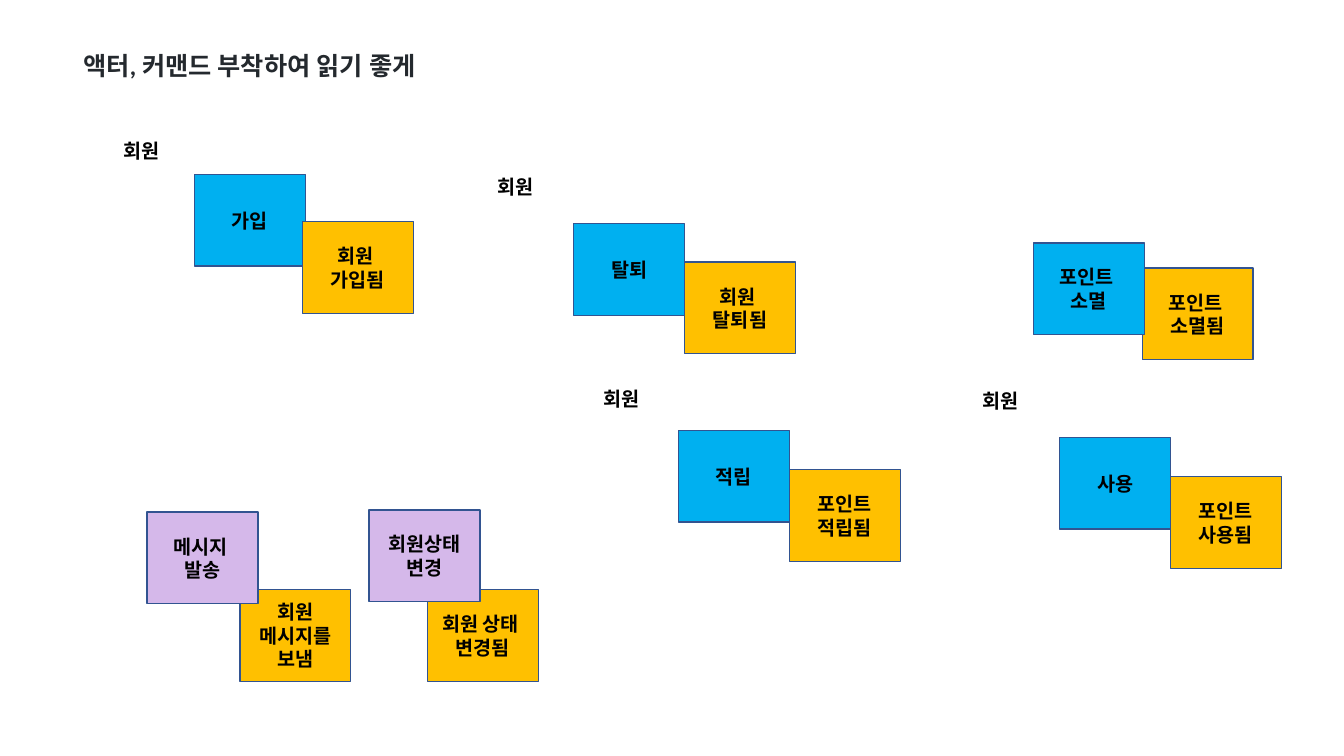
from pptx import Presentation
from pptx.dml.color import RGBColor
from pptx.enum.shapes import MSO_SHAPE as SHAPE
from pptx.enum.text import MSO_ANCHOR as ANCHOR, PP_ALIGN as ALIGN
from pptx.oxml.ns import qn
from pptx.util import Inches, Pt

INK = RGBColor(0x24, 0x29, 0x2E)
BLACK = RGBColor(0, 0, 0)
EDGE = RGBColor(0x32, 0x54, 0x91)
COMMAND = RGBColor(0x00, 0xB0, 0xF0)
EVENT = RGBColor(0xFF, 0xC0, 0x00)
POLICY = RGBColor(0xD5, 0xB8, 0xEA)
TITLE_FONT, BODY_FONT = "Lato", "Noto Sans CJK KR"
NOTE_W, NOTE_H = 1.1, 0.91


def write(tf, text, size=14, font=BODY_FONT, color=BLACK, align=ALIGN.CENTER):
    """Fill a text frame, one paragraph per line of text."""
    tf.word_wrap = True
    tf.vertical_anchor = ANCHOR.MIDDLE
    for i, line in enumerate(text.split("\n")):
        p = tf.paragraphs[0] if i == 0 else tf.add_paragraph()
        p.alignment = align
        r = p.add_run()
        r.text = line
        r.font.size, r.font.name, r.font.bold = Pt(size), font, True
        r.font.color.rgb = color
        ea = r.font._element.makeelement(qn("a:ea"), {"typeface": font})
        r.font._element.find(qn("a:latin")).addnext(ea)


class Board:
    """Event-storming board on one slide."""

    def __init__(self, prs):
        self.s = prs.slides.add_slide(prs.slide_layouts[5])

    def title(self, text):
        sp = self.s.shapes.title
        sp.left, sp.top = Inches(0.73), Inches(0.41)
        sp.width, sp.height = Inches(5.11), Inches(0.47)
        write(sp.text_frame, text, size=18, font=TITLE_FONT, color=INK,
              align=ALIGN.LEFT)

    def actor(self, x, y):
        sp = self.s.shapes.add_textbox(Inches(x), Inches(y),
                                       Inches(0.65), Inches(0.41))
        write(sp.text_frame, "회원")

    def note(self, x, y, text, fill):
        sp = self.s.shapes.add_shape(SHAPE.RECTANGLE, Inches(x), Inches(y),
                                     Inches(NOTE_W), Inches(NOTE_H))
        sp.shadow.inherit = False
        sp.fill.solid()
        sp.fill.fore_color.rgb = fill
        sp.line.color.rgb = EDGE
        sp.line.width = Pt(1)
        write(sp.text_frame, text)


# Each step: cause (x, y, text, fill), event (x, y, text)
STEPS = [
    ((5.69, 2.22, "탈퇴", COMMAND), (6.79, 2.6, "회원 \n탈퇴됨")),
    ((10.51, 4.34, "사용", COMMAND), (11.61, 4.73, "포인트\n사용됨")),
    ((6.73, 4.27, "적립", COMMAND), (7.83, 4.66, "포인트\n적립됨")),
    ((1.46, 5.08, "메시지 \n발송", POLICY), (2.38, 5.85, "회원 메시지를 보냄")),
    ((3.66, 5.06, "회원상태 변경", POLICY), (4.24, 5.85, "회원 상태 \n변경됨")),
    ((10.25, 2.41, "포인트 \n소멸", COMMAND), (11.33, 2.66, "포인트 \n소멸됨")),
]
ACTORS = [(1.08, 1.29), (4.79, 1.65), (9.6, 3.77), (5.84, 3.75)]


def main():
    prs = Presentation()
    prs.slide_width, prs.slide_height = Inches(13.33), Inches(7.5)
    board = Board(prs)
    board.title("액터, 커맨드 부착하여 읽기 좋게")

    # Sign-up: here the event lies over the command
    board.note(1.93, 1.73, "가입", COMMAND)
    board.note(3, 2.2, "회원 \n가입됨", EVENT)

    # Other steps: the cause lies over its event
    for cause, event in STEPS:
        board.note(*event, EVENT)
        board.note(*cause)

    # Actors
    for x, y in ACTORS:
        board.actor(x, y)

    prs.save("out.pptx")


if __name__ == "__main__":
    main()
